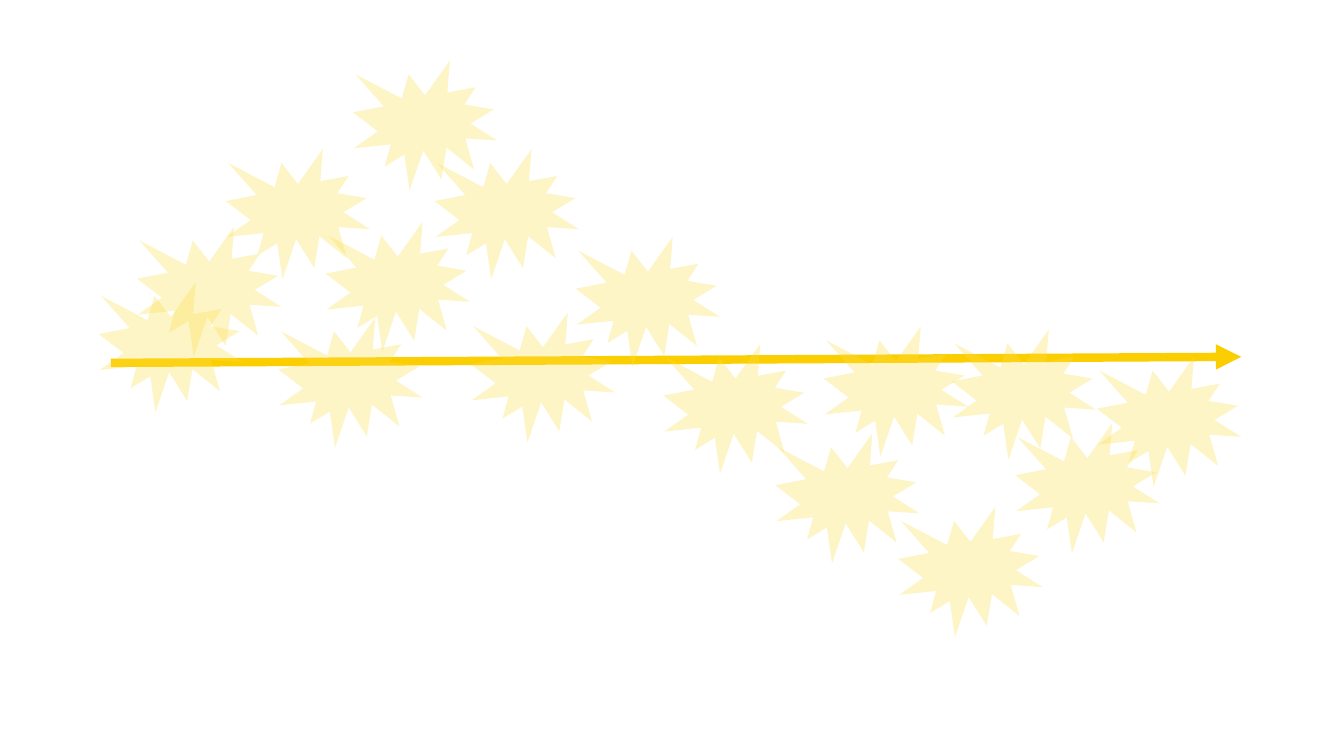
from dataclasses import dataclass
from typing import NamedTuple

from lxml.etree import SubElement as Sub
from pptx import Presentation
from pptx.dml.color import RGBColor as Color
from pptx.enum.shapes import MSO_CONNECTOR as Link, MSO_SHAPE as Form
from pptx.oxml.ns import qn
from pptx.slide import Slide
from pptx.util import Inches, Length, Pt


@dataclass(frozen=True)
class Theme:
    burst: Color = Color.from_string("FDDE45")
    arrow: Color = Color.from_string("FBCE01")
    alpha: int = 30
    weight: Length = Pt(6)


class Spot(NamedTuple):
    x: float
    y: float


THEME = Theme()
WIDE, HIGH = Inches(13.33), Inches(7.5)
SIZE = Spot(10.73, 17.2)
START, END = Spot(8.25, 48), Spot(92.35, 47.2)
BURSTS = (
    Spot(10.2, 30),
    Spot(16.8, 19.73),
    Spot(24.23, 29.33),
    Spot(32.33, 19.73),
    Spot(26.26, 8),
    Spot(42.84, 31.33),
    Spot(61.29, 43.2),
    Spot(49.36, 45.47),
    Spot(66.84, 67.07),
    Spot(57.69, 57.33),
    Spot(75.54, 56),
    Spot(81.62, 47.2),
    Spot(35.03, 41.33),
    Spot(70.82, 43.6),
    Spot(7.35, 37.33),
    Spot(20.71, 42),
)


def scale(spot: Spot) -> tuple[int, int]:
    return round(WIDE * spot.x / 100), round(HIGH * spot.y / 100)


def draw_arrow(slide: Slide, start: Spot, end: Spot) -> None:
    arrow = slide.shapes.add_connector(Link.STRAIGHT, *scale(start), *scale(end))
    arrow.line.color.rgb = THEME.arrow
    arrow.line.width = THEME.weight
    props = arrow.element.spPr
    Sub(props.find(qn("a:ln")), qn("a:tailEnd"), type="triangle")
    Sub(props, qn("a:effectLst"))


def draw_burst(slide: Slide, spot: Spot) -> None:
    burst = slide.shapes.add_shape(Form.EXPLOSION1, *scale(spot), *scale(SIZE))
    burst.shadow.inherit = False
    burst.line.fill.background()
    burst.fill.solid()
    burst.fill.fore_color.rgb = THEME.burst
    tint = burst.element.spPr.find(qn("a:solidFill")).find(qn("a:srgbClr"))
    Sub(tint, qn("a:alpha"), val=str(THEME.alpha * 1000))


def main() -> None:
    deck = Presentation()
    deck.slide_width, deck.slide_height = WIDE, HIGH
    slide = deck.slides.add_slide(deck.slide_layouts[6])
    draw_arrow(slide, START, END)
    for spot in BURSTS:
        draw_burst(slide, spot)
    deck.save("out.pptx")


if __name__ == "__main__":
    main()
